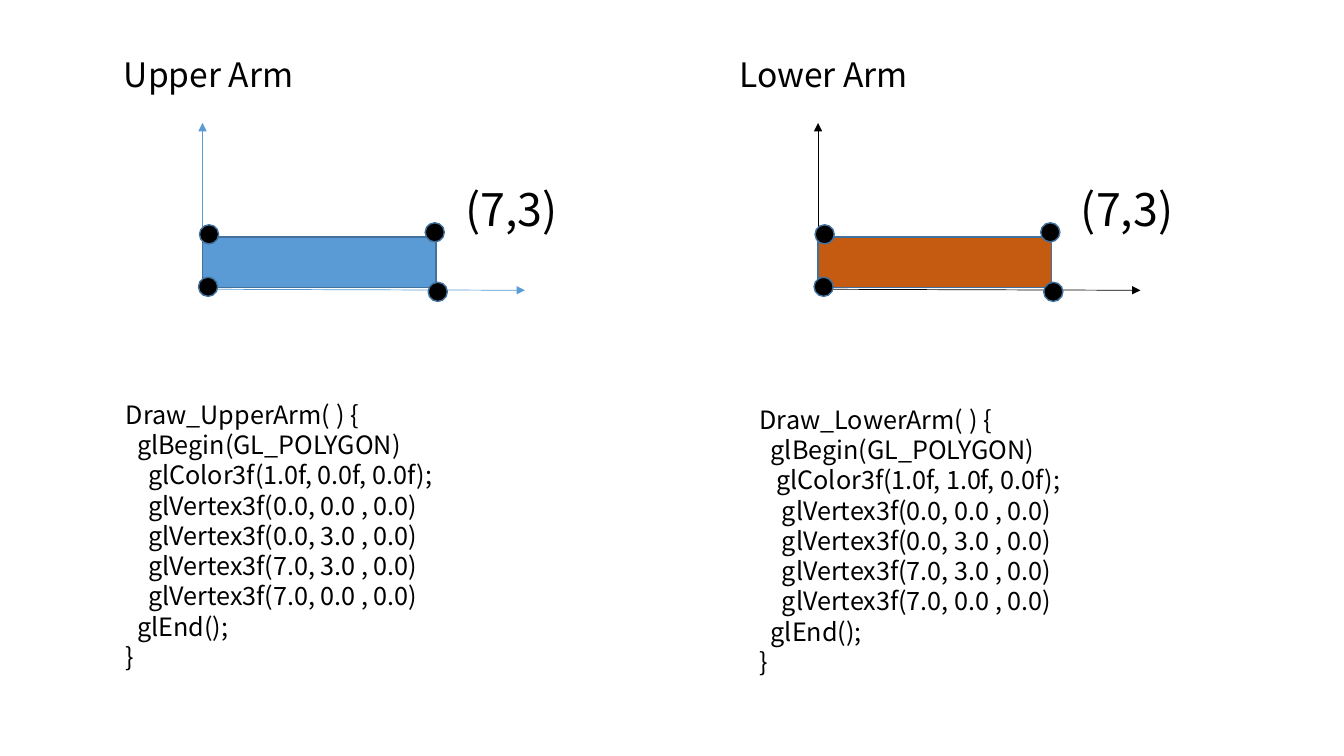
from lxml import etree
from pptx import Presentation
from pptx import util as u
from pptx.dml.color import RGBColor
from pptx.enum import shapes, text
from pptx.oxml import ns

BLACK = RGBColor(0, 0, 0)
BLUE = RGBColor(0x5B, 0x9B, 0xD5)
EDGE = RGBColor(0x41, 0x71, 0x9C)
RUST = RGBColor(0xC5, 0x5A, 0x11)
FONT = "Noto Sans CJK KR"
STEP = 0.11
DOTS = [(3.09, 1.73), (0.85, 1.75), (3.12, 2.32), (0.84, 2.27)]
POINTS = [(0, 0), (0, 3), (7, 3), (7, 0)]
ARMS = [
    dict(name="Upper", left=1.13, axis=BLUE, fill=BLUE,
         tint="1.0f, 0.0f, 0.0f", depth=2, code=(0.02, 3.43)),
    dict(name="Lower", left=7.24, axis=BLACK, fill=RUST,
         tint="1.0f, 1.0f, 0.0f", depth=1.5, code=(0.2, 3.48)),
]


def inches(*sizes):
    return [u.Inches(size) for size in sizes]


def write(shape, box, lines, size):
    shape.left, shape.top, shape.width, shape.height = inches(*box)
    frame = shape.text_frame
    look = dict(word_wrap=True, auto_size=text.MSO_AUTO_SIZE.NONE,
                vertical_anchor=text.MSO_ANCHOR.TOP,
                margin_left=u.Inches(0.1), margin_right=u.Inches(0.1),
                margin_top=u.Inches(0.05), margin_bottom=u.Inches(0.05))
    for key, value in look.items():
        setattr(frame, key, value)
    for row, (depth, line) in enumerate(lines):
        para = frame.add_paragraph() if row else frame.paragraphs[0]
        form = dict(alignment=text.PP_ALIGN.LEFT, space_before=u.Pt(0),
                    space_after=u.Pt(0), line_spacing=u.Pt(1.2 * size))
        for key, value in form.items():
            setattr(para, key, value)
        props = para._p.get_or_add_pPr()
        props.set("marL", str(u.Inches(depth * STEP)))
        props.set("indent", "0")
        etree.SubElement(props, ns.qn("a:buNone"))
        run = para.add_run()
        run.text = line
        for key, value in dict(name=FONT, size=u.Pt(size), bold=False).items():
            setattr(run.font, key, value)
        run.font.color.rgb = BLACK


def draw_part(slide, kind, box, fill):
    part = slide.shapes.add_shape(kind, *inches(*box))
    part.shadow.inherit = False
    part.fill.solid()
    part.fill.fore_color.rgb = fill
    part.line.color.rgb = EDGE
    part.line.width = u.Pt(1)


def draw_axis(slide, ends, color):
    axis = slide.shapes.add_connector(shapes.MSO_CONNECTOR.STRAIGHT, *inches(*ends))
    axis.line.color.rgb = color
    axis.line.width = u.Pt(0.5)
    tip = etree.SubElement(axis.line._get_or_add_ln(), ns.qn("a:tailEnd"))
    tip.set("type", "triangle")
    etree.SubElement(axis._element.spPr, ns.qn("a:effectLst"))


def draw_plot(slide, left, top, arm):
    x, y = left + 0.88, top + 2.4
    draw_axis(slide, (x, y - 0.01, x + 3.2, y), arm["axis"])
    draw_axis(slide, (x, y, x, y - 1.66), arm["axis"])
    draw_part(slide, shapes.MSO_SHAPE.RECTANGLE, (x, y - 0.53, 2.32, 0.5), arm["fill"])
    for across, down in DOTS:
        draw_part(slide, shapes.MSO_SHAPE.OVAL,
                  (left + across, top + down, 0.19, 0.19), BLACK)
    label = slide.shapes.add_textbox(0, 0, 0, 0)
    write(label, (left + 3.39, top + 1.27, 1.38, 0.64), [(0, "(7,3)")], 32)


def list_code(arm):
    return [
        (0, f"Draw_{arm['name']}Arm( ) {{"),
        (1, "glBegin(GL_POLYGON)"),
        (arm["depth"], f"glColor3f({arm['tint']});"),
        *[(2, f"glVertex3f({x:.1f}, {y:.1f} , 0.0)") for x, y in POINTS],
        (1, "glEnd();"),
        (0, "}"),
    ]


def draw_arm(slide, left, top, arm, head, body):
    draw_plot(slide, left, top, arm)
    write(head, (left, top, 2.31, 0.5), [(0, f"{arm['name']} Arm")], 24)
    across, down = arm["code"]
    write(body, (left + across, top + down, 4.1, 3.4), list_code(arm), 18)


def main():
    deck = Presentation()
    deck.slide_width, deck.slide_height = inches(13.34, 7.5)
    slide = deck.slides.add_slide(deck.slide_layouts.get_by_name("Comparison"))
    title, *slots = slide.placeholders
    title._element.getparent().remove(title._element)
    for arm, head, body in zip(ARMS, slots[::2], slots[1::2]):
        draw_arm(slide, arm["left"], 0.48, arm, head, body)
    deck.save("out.pptx")


if __name__ == "__main__":
    main()
